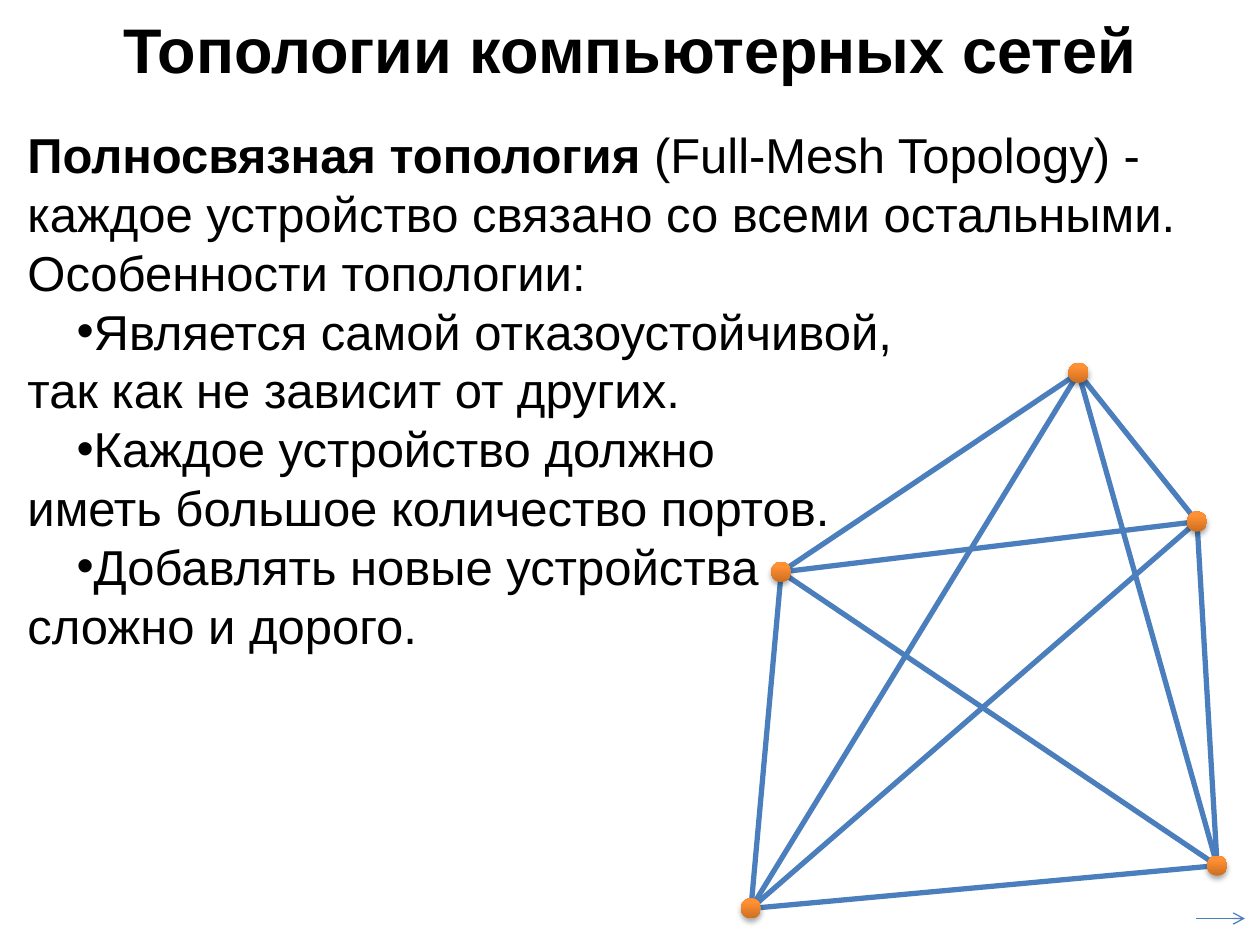
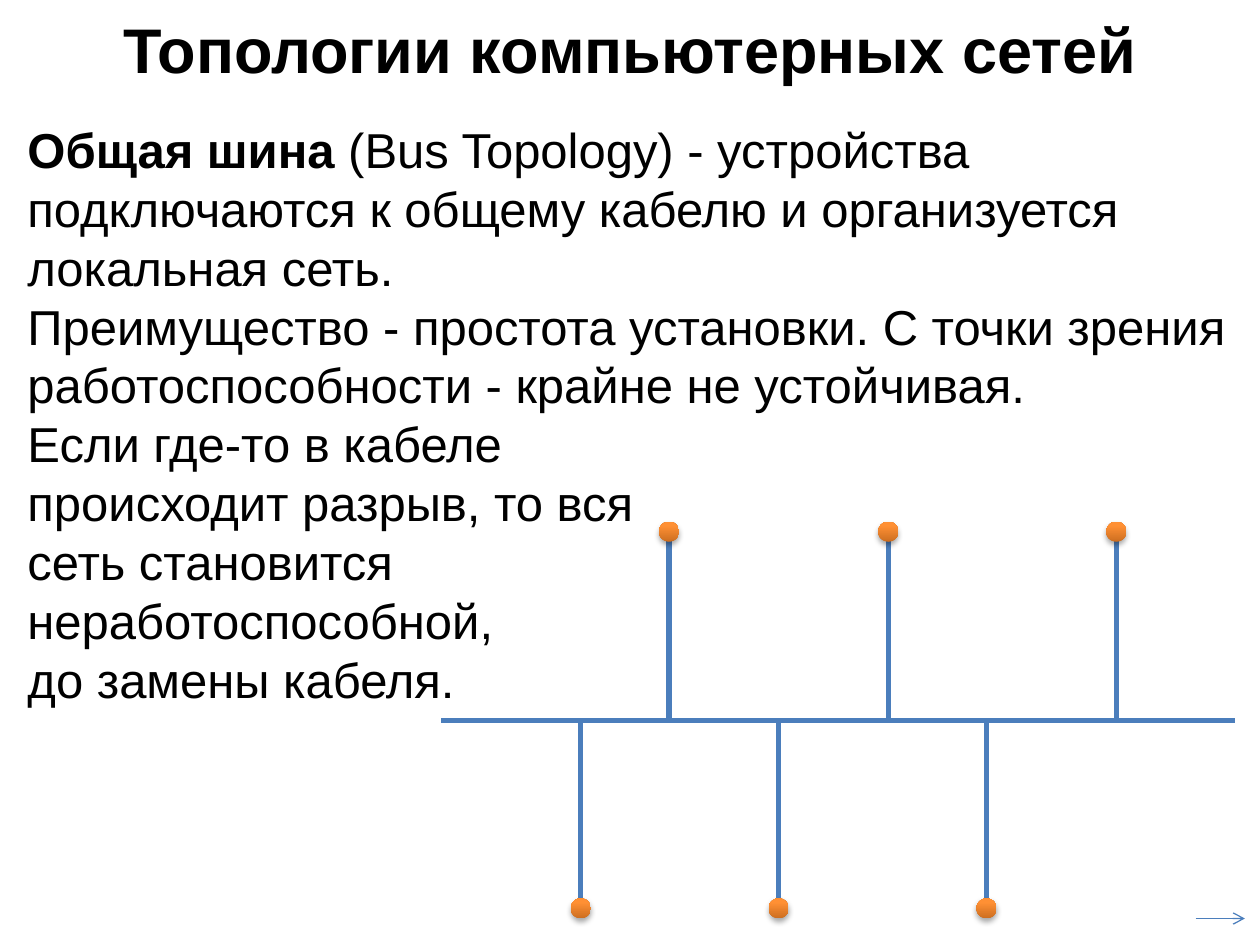
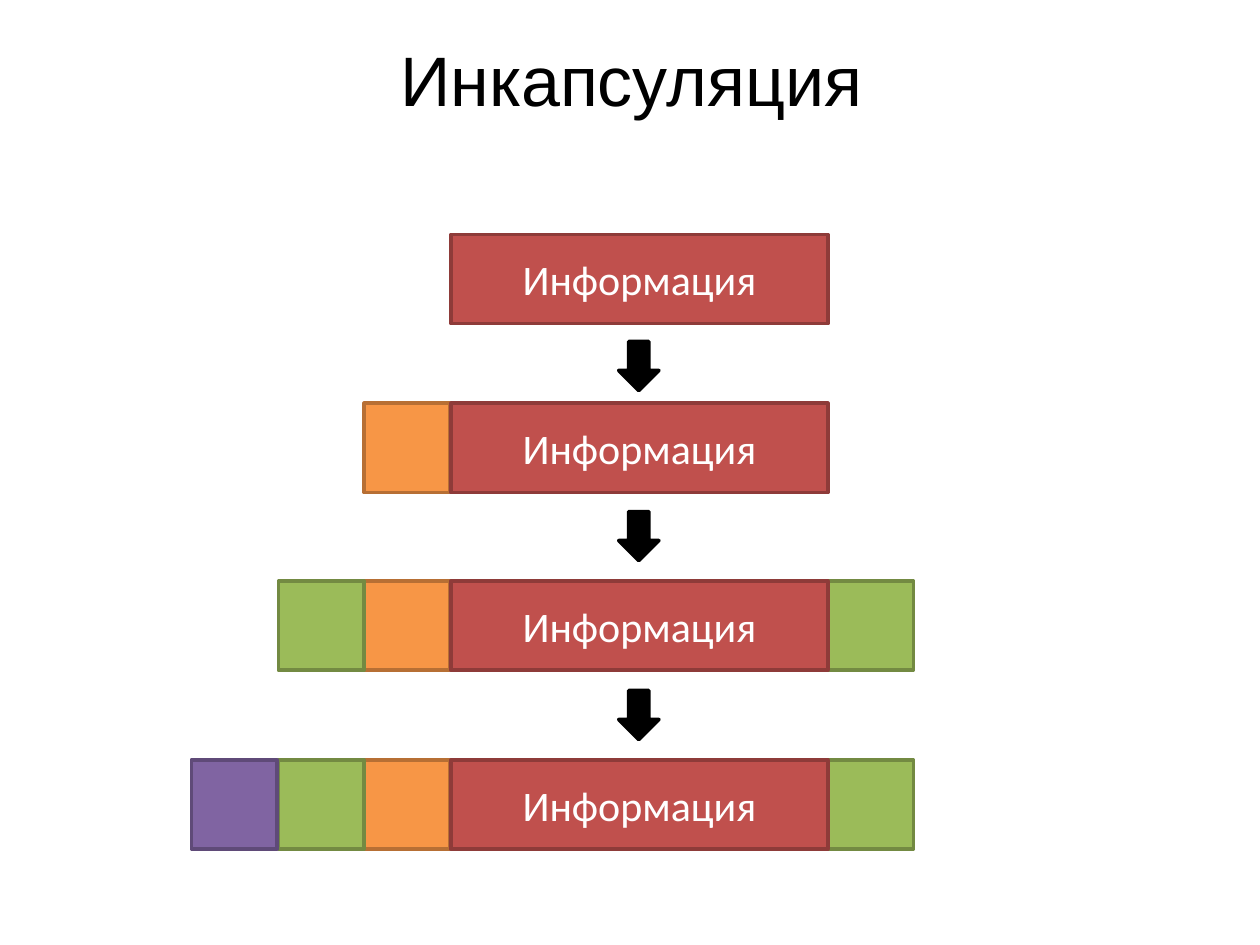
from itertools import combinations
from pptx import Presentation
from pptx.dml.color import RGBColor
from pptx.enum.shapes import MSO_CONNECTOR, MSO_SHAPE
from pptx.enum.text import MSO_ANCHOR, PP_ALIGN
from pptx.oxml import parse_xml
from pptx.oxml.ns import nsdecls
from pptx.util import Inches, Pt

BLACK = RGBColor(0x00, 0x00, 0x00)
WHITE = RGBColor(0xFF, 0xFF, 0xFF)
BLUE = RGBColor(0x4B, 0x7E, 0xBC)
RED, MAROON = RGBColor(0xC0, 0x50, 0x4D), RGBColor(0x8E, 0x3B, 0x39)
ORANGE, BROWN = RGBColor(0xF7, 0x96, 0x46), RGBColor(0xB7, 0x6F, 0x34)
GREEN, OLIVE = RGBColor(0x9B, 0xBB, 0x59), RGBColor(0x73, 0x8A, 0x42)
PURPLE, PLUM = RGBColor(0x80, 0x64, 0xA2), RGBColor(0x5F, 0x4A, 0x78)
GLOW = [(0, RGBColor(0xCC, 0x6E, 0x20)), (80, RGBColor(0xFF, 0x90, 0x34)),
        (100, RGBColor(0xFF, 0x91, 0x36))]

HEAD = "Топологии компьютерных сетей"
BULLET = "• "
MESH_TEXT = [
    ("Полносвязная топология ",
     "(Full-Mesh Topology) - каждое устройство связано со всеми остальными."),
    "Особенности топологии:",
    BULLET + "Является самой отказоустойчивой,",
    "так как не зависит от других.",
    BULLET + "Каждое устройство должно",
    "иметь большое количество портов.",
    BULLET + "Добавлять новые устройства",
    "сложно и дорого.",
]
BUS_TEXT = [
    ("Общая шина ", "(Bus Topology) - устройства подключаются к общему кабелю "
     "и организуется локальная сеть."),
    "Преимущество - простота установки. С точки зрения работоспособности - "
    "крайне не устойчивая.",
    "Если где-то в кабеле",
    "происходит разрыв, то вся",
    "сеть становится",
    "неработоспособной,",
    "до замены кабеля.",
]
MESH = [(8.56, 2.96), (6.2, 4.54), (9.5, 4.14), (5.96, 7.21), (9.66, 6.87)]
BUS = (3.5, 9.8, 5.72)
STEMS = [(4.22, (5.31, 7.05, 8.86)), (7.21, (4.61, 6.18, 7.83))]
NODE = 0.16

ROWS = [1.86, 3.2, 4.61, 6.03]
PARTS = [
    (1, 2.89, 0.68, ORANGE, BROWN, ""),
    (2, 2.21, 0.68, GREEN, OLIVE, ""),
    (2, 6.57, 0.68, GREEN, OLIVE, ""),
    (3, 1.52, 0.68, PURPLE, PLUM, ""),
    (0, 3.58, 2.99, RED, MAROON, "Информация"),
]
ARROWS = [2.71, 4.06, 5.48]


def write(shape, paras, size=28, font="Arial", color=BLACK, bold=False,
          align=PP_ALIGN.LEFT, anchor=MSO_ANCHOR.TOP):
    frame = shape.text_frame
    frame.word_wrap = True
    frame.vertical_anchor = anchor
    for i, item in enumerate(paras):
        para = frame.paragraphs[0] if i == 0 else frame.add_paragraph()
        para.alignment = align
        runs = [(item, bold)]
        if isinstance(item, tuple):
            runs = [(item[0], True), (item[1], False)]
        elif item.startswith(BULLET):
            runs = [(item.removeprefix(BULLET), bold)]
            props = para._p.get_or_add_pPr()
            props.set("marL", "0")
            props.set("indent", str(Inches(0.39)))
            props.append(parse_xml(f'<a:buFont {nsdecls("a")} typeface="Arial"/>'))
            props.append(parse_xml(f'<a:buChar {nsdecls("a")} char="•"/>'))
        for words, heavy in runs:
            run = para.add_run()
            run.text = words
            run.font.size, run.font.name, run.font.bold = Pt(size), font, heavy
            run.font.color.rgb = color


def label(slide, at, paras, **style):
    write(slide.shapes.add_textbox(*map(Inches, at)), paras, **style)


def title(slide, at, words, **style):
    label(slide, at, [words], align=PP_ALIGN.CENTER, anchor=MSO_ANCHOR.MIDDLE, **style)


def link(shapes, start, end, width=3, arrow=False):
    line = shapes.add_connector(MSO_CONNECTOR.STRAIGHT, *map(Inches, start + end))
    line.line.color.rgb = BLUE
    line.line.width = Pt(width)
    if arrow:
        line.line._get_or_add_ln().append(
            parse_xml(f'<a:tailEnd {nsdecls("a")} type="arrow"/>'))
    line._element.spPr.append(parse_xml(f'<a:effectLst {nsdecls("a")}/>'))


def node(shapes, x, y):
    dot = shapes.add_shape(MSO_SHAPE.OVAL, Inches(x - NODE / 2), Inches(y - NODE / 2),
                           Inches(NODE), Inches(NODE))
    stops = "".join(f'<a:gs pos="{pos * 1000}"><a:srgbClr val="{color}"/></a:gs>'
                    for pos, color in GLOW)
    for xml in (
        f'<a:gradFill {nsdecls("a")} rotWithShape="1"><a:gsLst>{stops}</a:gsLst>'
        '<a:lin ang="16200000" scaled="0"/></a:gradFill>',
        f'<a:ln {nsdecls("a")}><a:noFill/></a:ln>',
        f'<a:effectLst {nsdecls("a")}><a:outerShdw blurRad="40000" dist="23000" '
        'dir="5400000" rotWithShape="0"><a:srgbClr val="000000">'
        '<a:alpha val="35000"/></a:srgbClr></a:outerShdw></a:effectLst>',
    ):
        dot._element.spPr.append(parse_xml(xml))


def block(slide, kind, at, fill, edge):
    shape = slide.shapes.add_shape(kind, *map(Inches, at))
    shape.shadow.inherit = False
    shape.fill.solid()
    shape.fill.fore_color.rgb = fill
    shape.line.color.rgb = edge
    shape.line.width = Pt(2)
    return shape


def network(deck, links, nodes, top, height, paras):
    slide = deck.slides.add_slide(deck.slide_layouts[6])
    title(slide, (0.12, 0, 9.76, 0.76), HEAD, size=36, bold=True)
    link(slide.shapes, (9.49, 7.29), (9.88, 7.29), width=0.75, arrow=True)
    group = slide.shapes.add_group_shape().shapes
    for start, end in links:
        link(group, start, end)
    for x, y in nodes:
        node(group, x, y)
    label(slide, (0.12, top, 9.76, height), paras)


def layers(deck):
    slide = deck.slides.add_slide(deck.slide_layouts[6])
    title(slide, (0.51, 0, 9, 1.25), "Инкапсуляция", size=40)
    for first, left, width, fill, edge, words in PARTS:
        for top in ROWS[first:]:
            box = block(slide, MSO_SHAPE.RECTANGLE, (left, top, width, 0.71), fill, edge)
            if words:
                write(box, [words], size=24, font="Calibri", color=WHITE,
                      align=PP_ALIGN.CENTER, anchor=MSO_ANCHOR.MIDDLE)
    for top in ARROWS:
        block(slide, MSO_SHAPE.DOWN_ARROW, (4.91, top, 0.32, 0.39), BLACK, BLACK)


def main():
    deck = Presentation()
    deck.slide_width, deck.slide_height = Inches(10), Inches(7.5)
    network(deck, combinations(MESH, 2), MESH, 0.94, 4.34, MESH_TEXT)
    left, right, mid = BUS
    ends = [(x, y) for y, xs in STEMS for x in xs]
    wires = [((left, mid), (right, mid))] + [((x, mid), (x, y)) for x, y in ends]
    network(deck, wires, ends, 0.9, 4.81, BUS_TEXT)
    layers(deck)
    deck.save("out.pptx")


if __name__ == "__main__":
    main()
